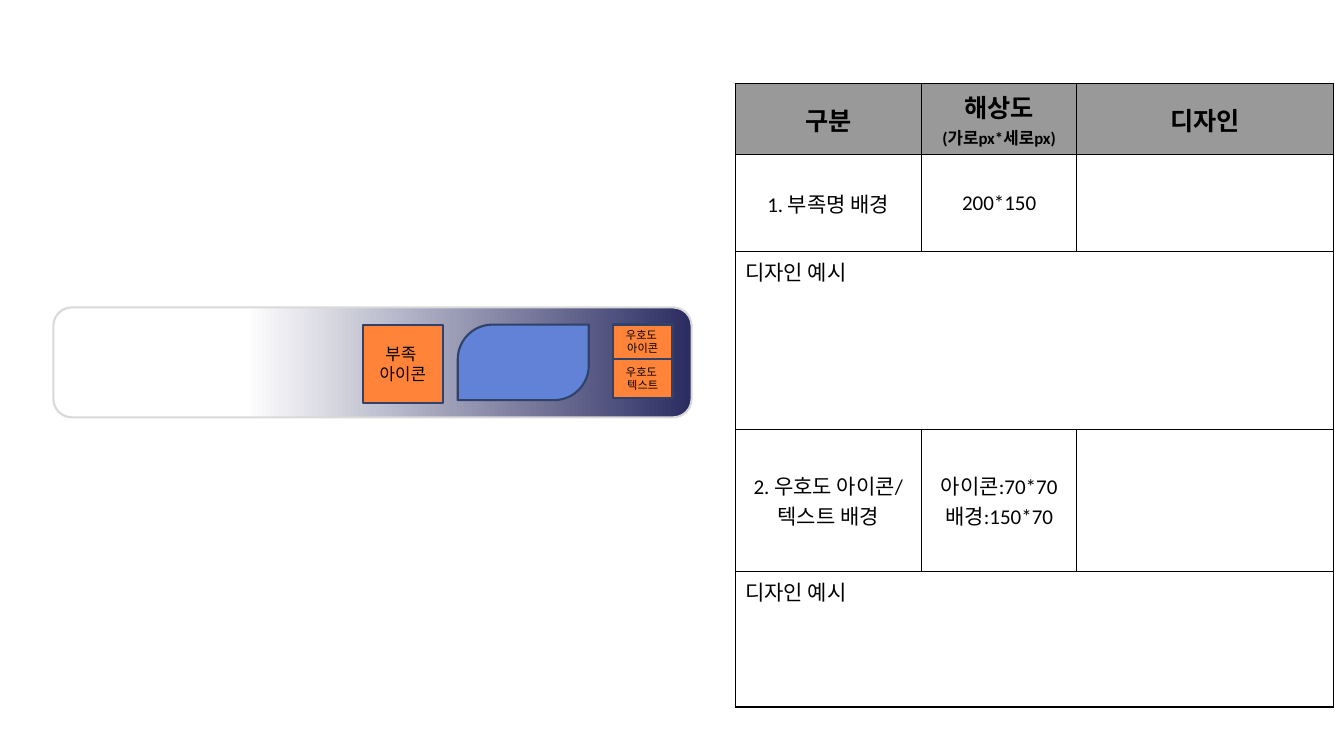
from lxml import etree
from pptx import Presentation, util as u
from pptx.dml.color import RGBColor
from pptx.enum import shapes, text
from pptx.oxml import ns

PX = 9144
FONT = "Calibri"
CENTER = text.PP_ALIGN.CENTER
MIDDLE = text.MSO_ANCHOR.MIDDLE


def px(n):
    return u.Emu(n * PX)


def color(value):
    return RGBColor.from_string(value)


def write(tf, lines, align=CENTER, bold=False):
    for i, (words, size) in enumerate(lines):
        p = tf.paragraphs[0] if i == 0 else tf.add_paragraph()
        p.alignment = align
        r = p.add_run()
        r.text = words
        r.font.name = FONT
        r.font.size = u.Pt(size)
        r.font.bold = bold
        r.font.color.rgb = color("000000")


def add_box(s, kind, box, fill=None, line="30416A"):
    sp = s.shapes.add_shape(kind, *[px(n) for n in box])
    sp.shadow.inherit = False
    if fill:
        sp.fill.solid()
        sp.fill.fore_color.rgb = color(fill)
    sp.line.color.rgb = color(line)
    sp.line.width = u.Pt(1.5)
    return sp


def add_label(s, box, lines, size, inset):
    sp = add_box(s, shapes.MSO_SHAPE.RECTANGLE, box, "FF843A")
    tf = sp.text_frame
    tf.word_wrap = True
    tf.vertical_anchor = MIDDLE
    tf.margin_left = tf.margin_right = px(inset)
    tf.margin_top = tf.margin_bottom = px(inset // 2)
    write(tf, [(words, size) for words in lines])


def add_tribe_bar(s, x, y, w, h):
    bar = add_box(s, shapes.MSO_SHAPE.ROUNDED_RECTANGLE, (x, y, w, h), line="D9D9D9")
    bar.fill.gradient()
    bar.fill.gradient_angle = 0
    stops = ((0.3, "FFFFFF"), (1, "2B2D63"))
    for stop, (position, value) in zip(bar.fill.gradient_stops, stops):
        stop.position = position
        stop.color.rgb = color(value)

    top = y + 17
    add_label(s, (x + 307, top, 79, 78), ["부족 ", "아이콘"], 12, 10)
    add_label(s, (x + 555, top, 59, 34), ["우호도 ", "아이콘"], 8, 0)
    add_label(s, (x + 555, top + 34, 59, 39), ["우호도 ", "텍스트"], 8, 0)
    name = add_box(s, shapes.MSO_SHAPE.ROUND_2_DIAG_RECTANGLE,
                   (x + 401, top, 130, 75), "6182D6")
    name.adjustments[0] = 0.46
    name.adjustments[1] = 0


def set_borders(cell, top, bottom):
    tcPr = cell._tc.get_or_add_tcPr()
    for side, width in (("L", 0.5), ("R", 0.5), ("T", top), ("B", bottom)):
        ln = etree.SubElement(tcPr, ns.qn("a:ln" + side), w=str(u.Pt(width)))
        fill = etree.SubElement(ln, ns.qn("a:solidFill"))
        etree.SubElement(fill, ns.qn("a:srgbClr"), val="000000")


def add_spec_table(s, x, y):
    widths = (185, 154, 254)
    heights = (60, 96, 177, 140, 135)
    example = [[("디자인 예시", 15)]]
    rows = (
        [[("구분", 18)], [("해상도", 18), ("(가로px*세로px)", 12)], [("디자인", 18)]],
        [[("1. 부족명 배경", 15)], [("200*150", 15)], []],
        example,
        [[("2. 우호도 아이콘/", 15), ("텍스트 배경", 15)],
         [("아이콘:70*70", 15), ("배경:150*70", 15)], []],
        example,
    )
    frame = s.shapes.add_table(len(rows), len(widths), px(x), px(y),
                               px(sum(widths)), px(sum(heights)))
    table = frame.table
    table.first_row = table.horz_banding = False
    for column, width in zip(table.columns, widths):
        column.width = px(width)
    for i, (row, height) in enumerate(zip(rows, heights)):
        header, spanned = i == 0, len(row) == 1
        table.rows[i].height = px(height)
        for cell in table.rows[i].cells:
            set_borders(cell, 1 if i == 1 else 0.5,
                        1 if i in (0, len(rows) - 1) else 0.5)
            cell.fill.solid()
            cell.fill.fore_color.rgb = color("999999" if header else "FFFFFF")
        if spanned:
            table.cell(i, 0).merge(table.cell(i, len(widths) - 1))
        for j, lines in enumerate(row):
            cell = table.cell(i, j)
            cell.vertical_anchor = text.MSO_ANCHOR.TOP if spanned else MIDDLE
            write(cell.text_frame, lines,
                  text.PP_ALIGN.LEFT if spanned else CENTER, header)


def main():
    prs = Presentation()
    prs.slide_width, prs.slide_height = px(1333), px(750)
    s = prs.slides.add_slide(prs.slide_layouts[6])
    add_tribe_bar(s, 53, 305, 633, 109)
    add_spec_table(s, 729, 83)
    prs.save("out.pptx")


if __name__ == "__main__":
    main()
